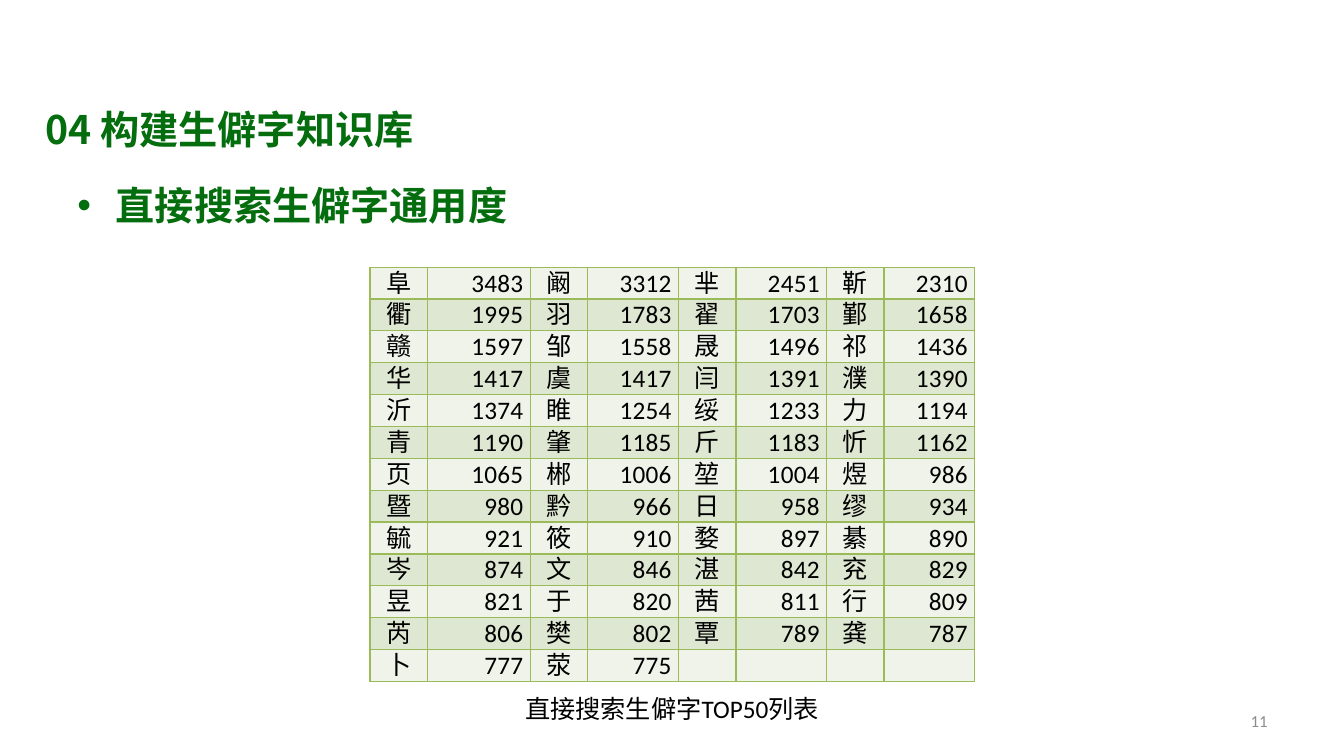
from lxml import etree
from pptx import Presentation
from pptx import util as u
from pptx.dml import color
from pptx.enum import lang, text
from pptx.oxml import ns

Inches, Pt = u.Inches, u.Pt
ALIGN = {"left": text.PP_ALIGN.LEFT, "center": text.PP_ALIGN.CENTER,
         "right": text.PP_ALIGN.RIGHT}

# Characters with their search counts, four pairs to a row
FREQUENCIES = """
阜 3483 阚 3312 芈 2451 靳 2310
衢 1995 羽 1783 翟 1703 鄞 1658
赣 1597 邹 1558 晟 1496 祁 1436
华 1417 虞 1417 闫 1391 濮 1390
沂 1374 睢 1254 绥 1233 力 1194
青 1190 肇 1185 斤 1183 忻 1162
页 1065 郴 1006 堃 1004 煜 986
暨 980 黔 966 日 958 缪 934
毓 921 筱 910 婺 897 綦 890
岑 874 文 846 湛 842 兖 829
昱 821 于 820 茜 811 行 809
芮 806 樊 802 覃 789 龚 787
卜 777 荥 775
"""


def rgb(value):
    return color.RGBColor.from_string(value)


def add(parent, tag, **attributes):
    return etree.SubElement(parent, ns.qn(tag), attributes)


def write(paragraph, content, size=18, font="Calibri", ink="000000",
          bold=False, align="left", spacing=None):
    """Put one formatted run into the paragraph."""
    paragraph.alignment = ALIGN[align]
    run = paragraph.add_run()
    run.text = content
    run.font.size = Pt(size)
    run.font.name = font
    run.font.bold = bold
    run.font.color.rgb = rgb(ink)
    run.font.language_id = lang.MSO_LANGUAGE_ID.SIMPLIFIED_CHINESE
    properties = run.font._element
    add(properties, "a:ea", typeface=font)
    if spacing:
        properties.set("spc", str(spacing))


class SlideBuilder:
    heading = {"size": 28, "font": "Noto Sans CJK SC", "ink": "046D0E", "bold": True}
    border = "9BBB59"
    bands = ("EFF3EA", "DEE7D1")

    def __init__(self, presentation):
        self.slide = presentation.slides.add_slide(presentation.slide_layouts[6])

    def text_box(self, box, content, bullet=False, middle=False, **style):
        shape = self.slide.shapes.add_textbox(*map(Inches, box))
        frame = shape.text_frame
        frame.word_wrap = True
        if middle:
            frame.vertical_anchor = text.MSO_ANCHOR.MIDDLE
        paragraph = frame.paragraphs[0]
        if bullet:
            properties = paragraph._p.get_or_add_pPr()
            properties.set("marL", str(Inches(0.38)))
            properties.set("indent", str(Inches(-0.38)))
            add(properties, "a:buFont", typeface="Arial")
            add(properties, "a:buChar", char="•")
        write(paragraph, content, **style)

    def table(self, left, top, height, widths, rows):
        frame = self.slide.shapes.add_table(
            len(rows), len(widths), Inches(left), Inches(top),
            Inches(sum(widths)), Inches(height))
        table = frame.table
        for column, width in zip(table.columns, widths):
            column.width = Inches(width)
        for row_index, values in enumerate(rows):
            table.rows[row_index].height = Inches(height / len(rows))
            for column_index in range(len(widths)):
                value = values[column_index] if column_index < len(values) else ""
                self.cell(table.cell(row_index, column_index), value,
                          self.bands[row_index % 2],
                          "right" if column_index % 2 else "center")

    def cell(self, cell, value, band, align):
        cell.margin_left = cell.margin_right = Inches(0.07)
        cell.margin_top = cell.margin_bottom = 0
        cell.vertical_anchor = text.MSO_ANCHOR.MIDDLE
        paragraph = cell.text_frame.paragraphs[0]
        paragraph.line_spacing = Pt(22.5)
        write(paragraph, value, align=align, spacing=20)
        # Borders come before the fill in the cell properties
        properties = cell._tc.get_or_add_tcPr()
        for side in ("a:lnL", "a:lnR", "a:lnT", "a:lnB"):
            line = add(properties, side, w=str(Pt(1)))
            add(add(line, "a:solidFill"), "a:srgbClr", val=self.border)
        cell.fill.solid()
        cell.fill.fore_color.rgb = rgb(band)


def main():
    presentation = Presentation()
    presentation.slide_width = Inches(13.33)
    presentation.slide_height = Inches(7.5)
    builder = SlideBuilder(presentation)

    # Headings
    builder.text_box((0.67, 1.75, 12, 0.7), "直接搜索生僻字通用度",
                     bullet=True, **builder.heading)
    builder.text_box((0.35, 1, 5.13, 0.57), "04 构建生僻字知识库", **builder.heading)

    # Page number and table caption
    builder.text_box((9.56, 6.95, 3.11, 0.4), "11", middle=True,
                     size=12, ink="8C8C8C", align="right")
    builder.text_box((1.64, 6.83, 10.05, 0.4), "直接搜索生僻字TOP50列表", align="center")

    # Frequency table
    rows = [line.split() for line in FREQUENCIES.strip().splitlines()]
    builder.table(3.67, 2.65, 4.11, [0.57, 1.02] + [0.57, 0.9] * 3, rows)

    presentation.save("out.pptx")


if __name__ == "__main__":
    main()
